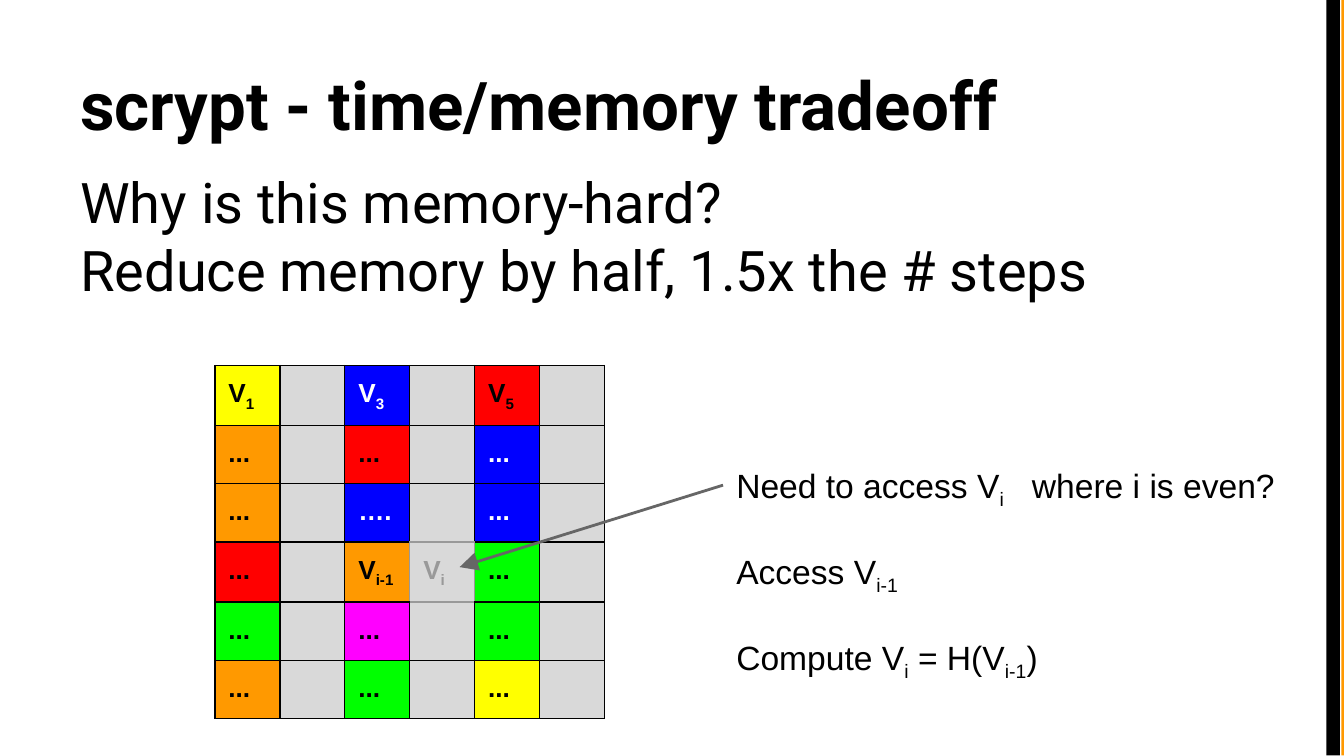
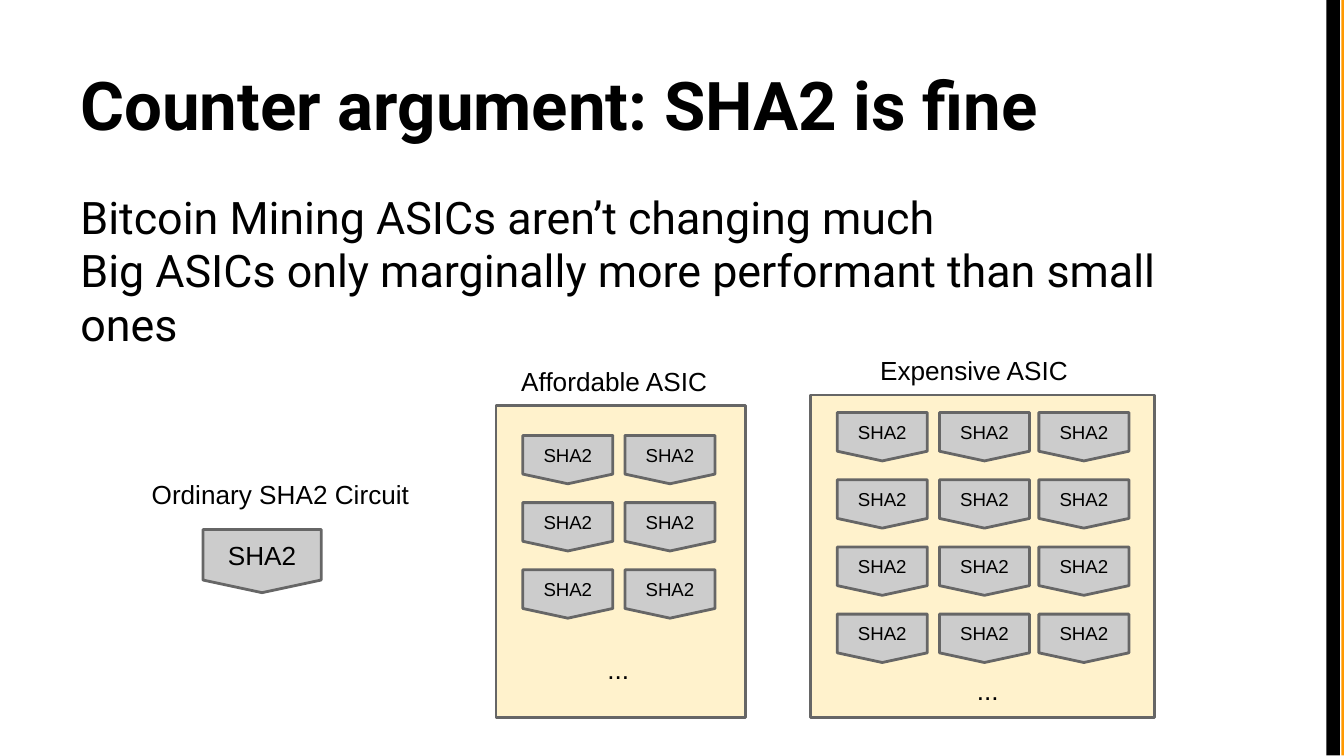
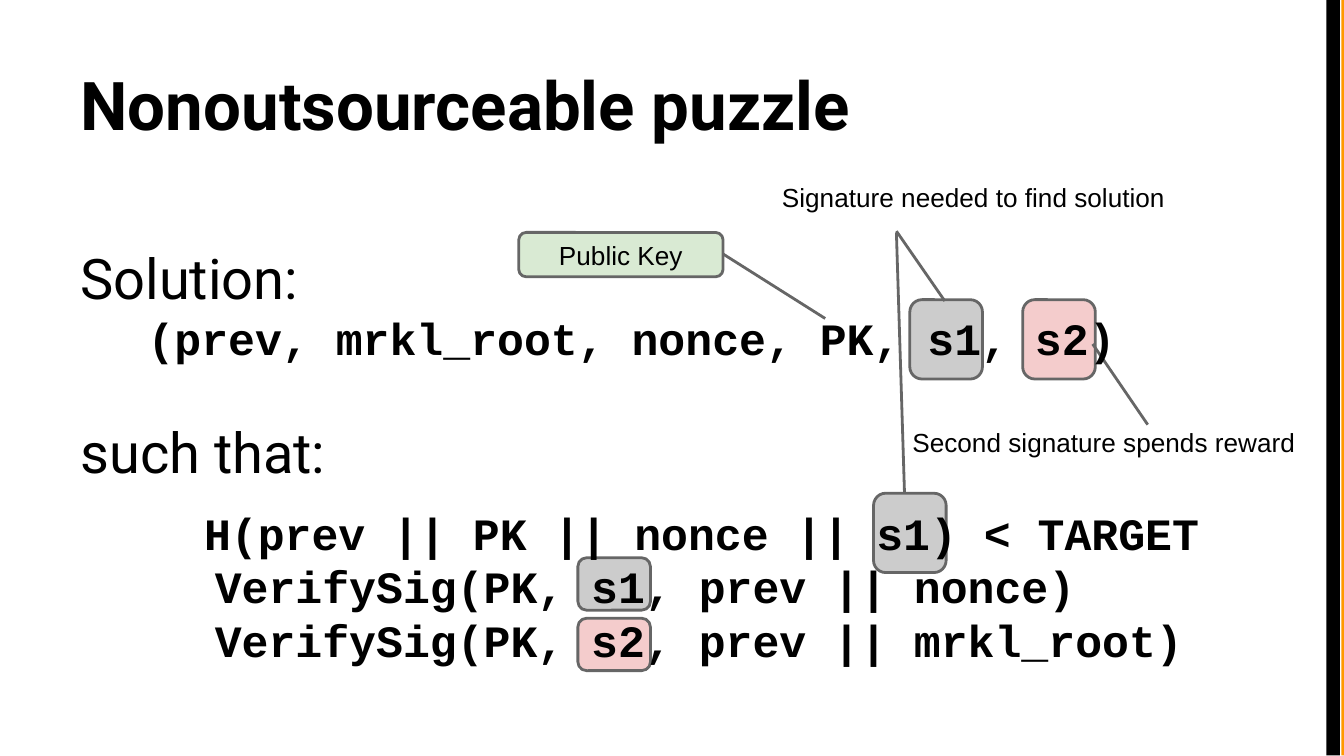
"""Build three slides on memory-hard hashing, ASIC circuits and nonoutsourceable puzzles."""
from dataclasses import dataclass

from lxml.etree import SubElement
from pptx import Presentation
from pptx.dml.color import RGBColor
from pptx.enum.shapes import MSO_CONNECTOR as Connector, MSO_SHAPE as Kind
from pptx.enum.text import MSO_ANCHOR as Anchor, PP_ALIGN as Align
from pptx.oxml.ns import qn
from pptx.util import Inches, Pt


@dataclass(frozen=True)
class Theme:
    black: str = "000000"
    white: str = "FFFFFF"
    orange: str = "FF9900"
    outline: str = "666666"
    circuit: str = "CCCCCC"
    chip: str = "FFF2CC"
    reward: str = "F4CCCC"
    key: str = "D9EAD3"
    dropped: str = "D9D9D9"
    faded: str = "999999"
    heading_font: str = "Roboto"
    label_font: str = "Arial"
    code_font: str = "Courier New"
    title_size: int = 36
    large: int = 30
    medium: int = 24
    note: int = 18
    label: int = 14
    small: int = 10
    leading: float = 1.2
    line_width: float = 1.5
    border_width: float = 0.75
    inset: float = 0.1


theme = Theme()


def add_box(slide, at, kind=None, fill=None, outlined=True):
    lengths = [Inches(value) for value in at]
    if kind is None:
        shape = slide.shapes.add_textbox(*lengths)
    else:
        shape = slide.shapes.add_shape(kind, *lengths)
        shape.shadow.inherit = False
        shape.fill.solid()
        shape.fill.fore_color.rgb = RGBColor.from_string(fill)
        if outlined:
            shape.line.color.rgb = RGBColor.from_string(theme.outline)
            shape.line.width = Pt(theme.line_width)
        else:
            shape.line.fill.background()
    frame = shape.text_frame
    frame.word_wrap = True
    frame.margin_left = frame.margin_right = Inches(theme.inset)
    frame.margin_top = frame.margin_bottom = Inches(theme.inset)
    frame.vertical_anchor = Anchor.TOP if kind is None else Anchor.MIDDLE
    return frame


def write(frame, text, size=theme.label, font=theme.label_font, color=theme.black,
          bold=False, align=Align.LEFT, leading=None, before=0, indent=0, tab=None):
    """Add a paragraph in which ~ opens and closes a subscript."""
    paragraph = frame.paragraphs[-1]
    if paragraph.runs:
        paragraph = frame.add_paragraph()
    paragraph.alignment = align
    if leading:
        paragraph.line_spacing = Pt(size * leading)
    if before:
        paragraph.space_before = Pt(before)
    properties = paragraph._p.get_or_add_pPr()
    if indent:
        properties.set("marL", str(Inches(indent)))
    if tab:
        stops = SubElement(properties, qn("a:tabLst"))
        SubElement(stops, qn("a:tab"), pos=str(Inches(tab)), algn="l")
    for index, piece in enumerate(text.split("~")):
        if not piece:
            continue
        run = paragraph.add_run()
        run.text = piece
        run.font.size = Pt(size)
        run.font.name = font
        run.font.bold = bold
        run.font.color.rgb = RGBColor.from_string(color)
        if index % 2:
            run.font._element.set("baseline", "-25000")


presentation = Presentation()
presentation.slide_width = Inches(10)
presentation.slide_height = Inches(10) * 9 // 16

slides = []
for title in ("scrypt - time/memory tradeoff", "Counter argument: SHA2 is fine",
              "Nonoutsourceable puzzle"):
    slide = presentation.slides.add_slide(presentation.slide_layouts[6])
    add_box(slide, (9.98, 0, 0.02, 5.62), Kind.RECTANGLE, theme.orange, outlined=False)
    add_box(slide, (9.87, 0, 0.1, 5.62), Kind.RECTANGLE, theme.black, outlined=False)
    title_frame = add_box(slide, (0.5, 0.23, 9, 0.94))
    title_frame.vertical_anchor = Anchor.BOTTOM
    write(title_frame, title, size=theme.title_size, font=theme.heading_font, bold=True)
    slides.append(slide)
tradeoff, asics, puzzle = slides

for slide, top, size, lines in (
    (tradeoff, 1.15, theme.large,
     ("Why is this memory-hard?", "Reduce memory by half, 1.5x the # steps")),
    (asics, 1.31, theme.medium,
     ("Bitcoin Mining ASICs aren’t changing much",
      "Big ASICs only marginally more performant than small ones")),
):
    body = add_box(slide, (0.5, top, 9, 4.07))
    for line in lines:
        write(body, line, size=size, font=theme.heading_font, leading=theme.leading)

cell_fills = {"yellow": "FFFF00", "blue": "0000FF", "red": "FF0000", "orange": theme.orange,
              "green": "00FF00", "magenta": "FF00FF"}
stored_columns = (
    (("V~1~", "yellow"), ("...", "orange"), ("...", "orange"),
     ("...", "red"), ("...", "green"), ("...", "orange")),
    (("V~3~", "blue"), ("...", "red"), ("….", "blue"),
     ("V~i-1~", "orange"), ("...", "magenta"), ("...", "green")),
    (("V~5~", "red"), ("...", "blue"), ("...", "blue"),
     ("...", "green"), ("...", "green"), ("...", "yellow")),
)
missing = (3, 3)
edges = {"L": (0, -1), "R": (0, 1), "T": (-1, 0), "B": (1, 0)}
memory = tradeoff.shapes.add_table(6, 6, Inches(1.6), Inches(2.72),
                                   Inches(2.9), Inches(2.58)).table
memory.first_row = memory.horz_banding = False
for row in memory.rows:
    row.height = Inches(0.43)
for row in range(6):
    for column in range(6):
        cell = memory.cell(row, column)
        cell_properties = cell._tc.get_or_add_tcPr()
        for edge, (down, right) in edges.items():
            touches = missing in ((row, column), (row + down, column + right))
            border = SubElement(cell_properties, qn(f"a:ln{edge}"),
                                w=str(Pt(theme.border_width)))
            border_fill = SubElement(border, qn("a:solidFill"))
            SubElement(border_fill, qn("a:srgbClr"), val=theme.faded if touches else theme.black)
        text, fill, color = "", theme.dropped, theme.black
        if column % 2 == 0:
            text, name = stored_columns[column // 2][row]
            fill = cell_fills[name]
            color = theme.white if name == "blue" else theme.black
        elif (row, column) == missing:
            text, color = "V~i~", theme.faded
        cell.fill.solid()
        cell.fill.fore_color.rgb = RGBColor.from_string(fill)
        margin = theme.inset if text else 0
        cell.margin_left = cell.margin_right = cell.margin_top = Inches(margin)
        cell.margin_bottom = Inches(margin - 0.02 if "~" in text else margin)
        if text:
            write(cell.text_frame, text, color=color, bold=True)

steps = add_box(tradeoff, (5.38, 3.36, 4.25, 0.5))
write(steps, "Need to access V~i~\twhere i is even?", size=theme.note, tab=2.2)
for step in ("Access V~i-1~", "Compute V~i~ = H(V~i-1~)"):
    write(steps, step, size=theme.note, before=21.5)

for at, lefts, first_top, row_count in (
    ((3.69, 3.02, 1.86, 2.32), (3.89, 4.65), 3.24, 3),
    ((6.03, 2.94, 2.56, 2.4), (6.23, 6.99, 7.73), 3.07, 4),
):
    add_box(asics, at, Kind.RECTANGLE, theme.chip)
    for row in range(row_count):
        for left in lefts:
            circuit = add_box(asics, (left, first_top + 0.5 * row, 0.67, 0.36),
                              Kind.FLOWCHART_OFFPAGE_CONNECTOR, theme.circuit)
            write(circuit, "SHA2", size=theme.small, align=Align.CENTER)
ordinary = add_box(asics, (1.51, 3.94, 0.88, 0.47),
                   Kind.FLOWCHART_OFFPAGE_CONNECTOR, theme.circuit)
write(ordinary, "SHA2", align=Align.CENTER)

for at, fill in (
    ((4.3, 4.15, 0.54, 0.39), theme.circuit),
    ((4.3, 4.6, 0.54, 0.39), theme.reward),
    ((7.61, 2.23, 0.54, 0.59), theme.reward),
    ((6.5, 3.67, 0.54, 0.59), theme.circuit),
    ((6.77, 2.23, 0.54, 0.59), theme.circuit),
):
    add_box(puzzle, at, Kind.ROUNDED_RECTANGLE, fill)
public_key = add_box(puzzle, (3.86, 1.73, 1.52, 0.33), Kind.ROUNDED_RECTANGLE, theme.key)
write(public_key, "Public Key", align=Align.CENTER)

for slide, start, end, has_arrow in (
    (tradeoff, (5.38, 3.61), (3.42, 4.22), True),
    (puzzle, (7.03, 2.24), (6.67, 1.72), False),
    (puzzle, (6.73, 3.67), (6.67, 1.73), False),
    (puzzle, (5.38, 1.89), (6.14, 2.37), False),
    (puzzle, (8.13, 2.56), (8.54, 3.16), False),
):
    connector = slide.shapes.add_connector(
        Connector.STRAIGHT, *[Inches(value) for value in start + end])
    connector.line.color.rgb = RGBColor.from_string(theme.outline)
    connector.line.width = Pt(theme.line_width)
    if has_arrow:
        SubElement(connector.line._get_or_add_ln(), qn("a:tailEnd"),
                   type="triangle", w="lg", len="lg")
    SubElement(connector._element.spPr, qn("a:effectLst"))

for slide, at, text in (
    (asics, (1.03, 3.46, 2.19, 0.5), "Ordinary SHA2 Circuit"),
    (asics, (3.78, 2.62, 1.78, 0.5), "Affordable ASIC"),
    (asics, (6.45, 2.54, 1.78, 0.5), "Expensive ASIC"),
    (asics, (4.42, 4.76, 0.48, 0.5), "..."),
    (asics, (7.17, 4.92, 0.48, 0.5), "..."),
    (puzzle, (5.72, 1.25, 3.23, 0.5), "Signature needed to find solution"),
    (puzzle, (6.69, 3.07, 3.29, 0.5), "Second signature spends reward"),
):
    write(add_box(slide, at), text)

definition = add_box(puzzle, (0.5, 1.71, 9, 3.67))
heading = {"size": theme.large, "font": theme.heading_font, "leading": theme.leading}
code = {"size": theme.medium, "font": theme.code_font, "leading": theme.leading, "bold": True}
write(definition, "Solution:", **heading)
write(definition, "(prev, mrkl_root, nonce, PK, s1, s2)", indent=0.5, **code)
write(definition, "such that:", before=28.8, **heading)
write(definition, "H(prev || PK || nonce || s1) < TARGET", before=10.8, indent=0.92, **code)
write(definition, "VerifySig(PK, s1, prev || nonce)", indent=1, **code)
write(definition, "VerifySig(PK, s2, prev || mrkl_root)", indent=1, **code)

presentation.save("out.pptx")
